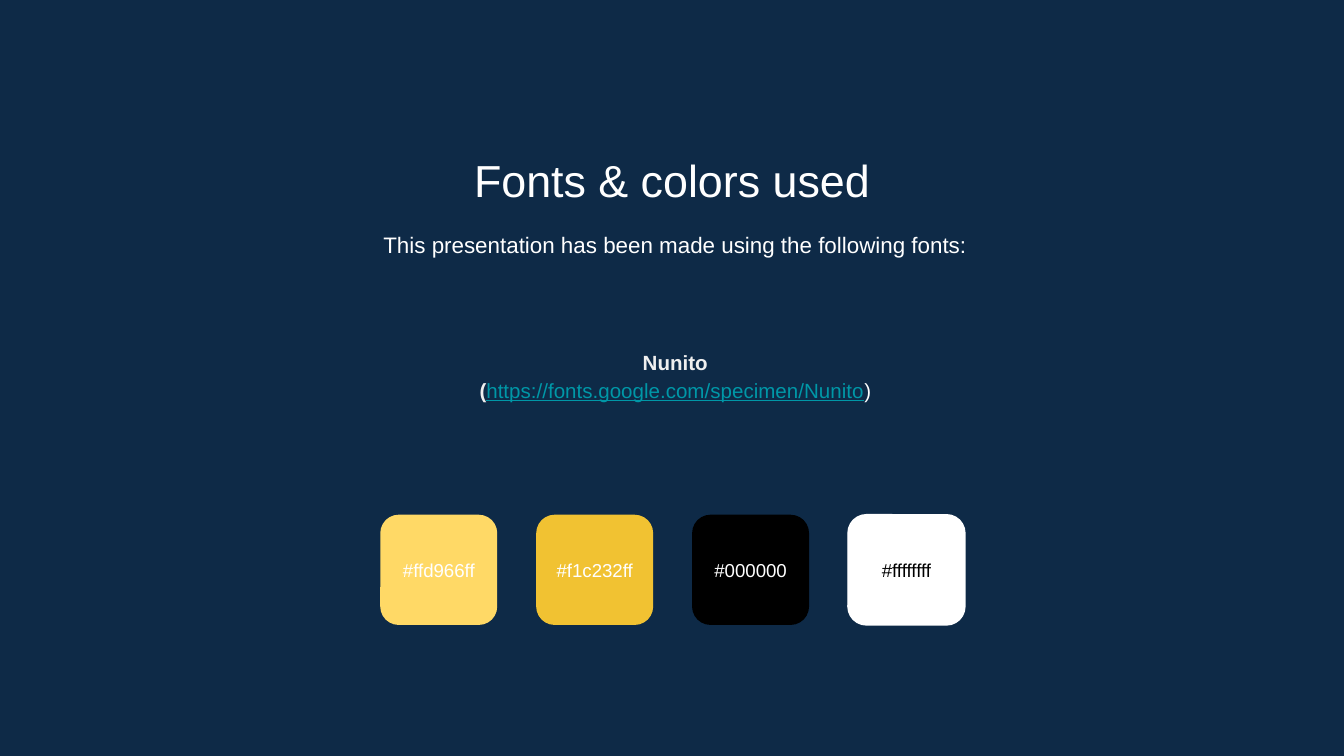
from dataclasses import dataclass

from pptx import Presentation
from pptx.dml.color import RGBColor
from pptx.enum.shapes import MSO_SHAPE as Shape
from pptx.enum.text import MSO_ANCHOR as Anchor, PP_ALIGN as Align
from pptx.util import Inches, Pt


@dataclass(frozen=True)
class Theme:
    font: str = "Arial"
    background: str = "0E2A47"
    text: str = "FFFFFF"
    font_name: str = "EFEFEF"
    link: str = "0097A7"
    title_size: int = 24
    intro_size: int = 12
    source_size: int = 11
    label_size: int = 10


THEME = Theme()
WIDTH = 10
HEIGHT = WIDTH * 9 / 16
INSET = 0.1
TEXT_LEFT, TEXT_WIDTH = 1.17, 7.71

# Swatch row: equal columns, each label centred on its swatch
SWATCH_LEFT, SWATCH_TOP, SWATCH_STEP = 2.83, 3.83, 1.16
SWATCH_WIDTH, SWATCH_HEIGHT, LABEL_HEIGHT = 0.87, 0.82, 0.48
CORNER = 0.167

# Fill, label, label colour
SWATCHES = [
    ("FFD966", "#ffd966ff", "FFFFFF"),
    ("F1C232", "#f1c232ff", "FFFFFF"),
    ("000000", "#000000", "FFFFFF"),
    ("FFFFFF", "#ffffffff", "000000"),
]

FONT_SOURCE = [
    [("Nunito", {"bold": True})],
    [
        ("(", {"bold": True}),
        ("https://fonts.google.com/specimen/Nunito",
         {"color": THEME.link, "underline": True}),
        (")", {"color": THEME.text}),
    ],
]


def rgb(value):
    return RGBColor.from_string(value)


def inches(*lengths):
    return [Inches(length) for length in lengths]


def add_text(slide, box, text, *, size, color=THEME.text, anchor=Anchor.TOP, spacing=1.0):
    """Add centred text: a string, or paragraphs given as lists of (text, format) runs."""
    frame = slide.shapes.add_textbox(*inches(*box)).text_frame
    frame.word_wrap = True
    frame.vertical_anchor = anchor
    frame.margin_left = frame.margin_right = Inches(INSET)
    frame.margin_top = frame.margin_bottom = Inches(INSET)
    lines = [[(text, {})]] if isinstance(text, str) else text
    for index, line in enumerate(lines):
        paragraph = frame.add_paragraph() if index else frame.paragraphs[0]
        paragraph.alignment = Align.CENTER
        paragraph.line_spacing = spacing
        for words, style in line:
            run = paragraph.add_run()
            run.text = words
            run.font.name = THEME.font
            run.font.size = Pt(size)
            run.font.bold = style.get("bold", False)
            run.font.underline = style.get("underline", False)
            run.font.color.rgb = rgb(style.get("color", color))


def add_swatch(slide, column, fill, label, label_color):
    left = SWATCH_LEFT + column * SWATCH_STEP
    swatch = slide.shapes.add_shape(
        Shape.ROUNDED_RECTANGLE,
        *inches(left, SWATCH_TOP, SWATCH_WIDTH, SWATCH_HEIGHT))
    swatch.adjustments[0] = CORNER
    swatch.shadow.inherit = False
    swatch.fill.solid()
    swatch.fill.fore_color.rgb = rgb(fill)
    if fill == THEME.text:
        swatch.line.color.rgb = rgb(fill)
        swatch.line.width = Pt(0.75)
    else:
        swatch.line.fill.background()
    label_top = SWATCH_TOP + (SWATCH_HEIGHT - LABEL_HEIGHT) / 2
    add_text(slide, (left, label_top, SWATCH_WIDTH, LABEL_HEIGHT), label,
             size=THEME.label_size, color=label_color, anchor=Anchor.MIDDLE)


def main():
    deck = Presentation()
    deck.slide_width, deck.slide_height = inches(WIDTH, HEIGHT)
    slide = deck.slides.add_slide(deck.slide_layouts[6])
    slide.background.fill.solid()
    slide.background.fill.fore_color.rgb = rgb(THEME.background)

    title_left = (WIDTH - TEXT_WIDTH) / 2
    add_text(slide, (title_left, 1.04, TEXT_WIDTH, 0.53), "Fonts & colors used",
             size=THEME.title_size)
    add_text(slide, (TEXT_LEFT, 1.59, TEXT_WIDTH, 0.48),
             "This presentation has been made using the following fonts:",
             size=THEME.intro_size, spacing=1.15)
    add_text(slide, (TEXT_LEFT, 2.1, TEXT_WIDTH, 1.37), FONT_SOURCE,
             size=THEME.source_size, color=THEME.font_name,
             anchor=Anchor.MIDDLE, spacing=1.15)
    for column, swatch in enumerate(SWATCHES):
        add_swatch(slide, column, *swatch)

    deck.save("out.pptx")


if __name__ == "__main__":
    main()
